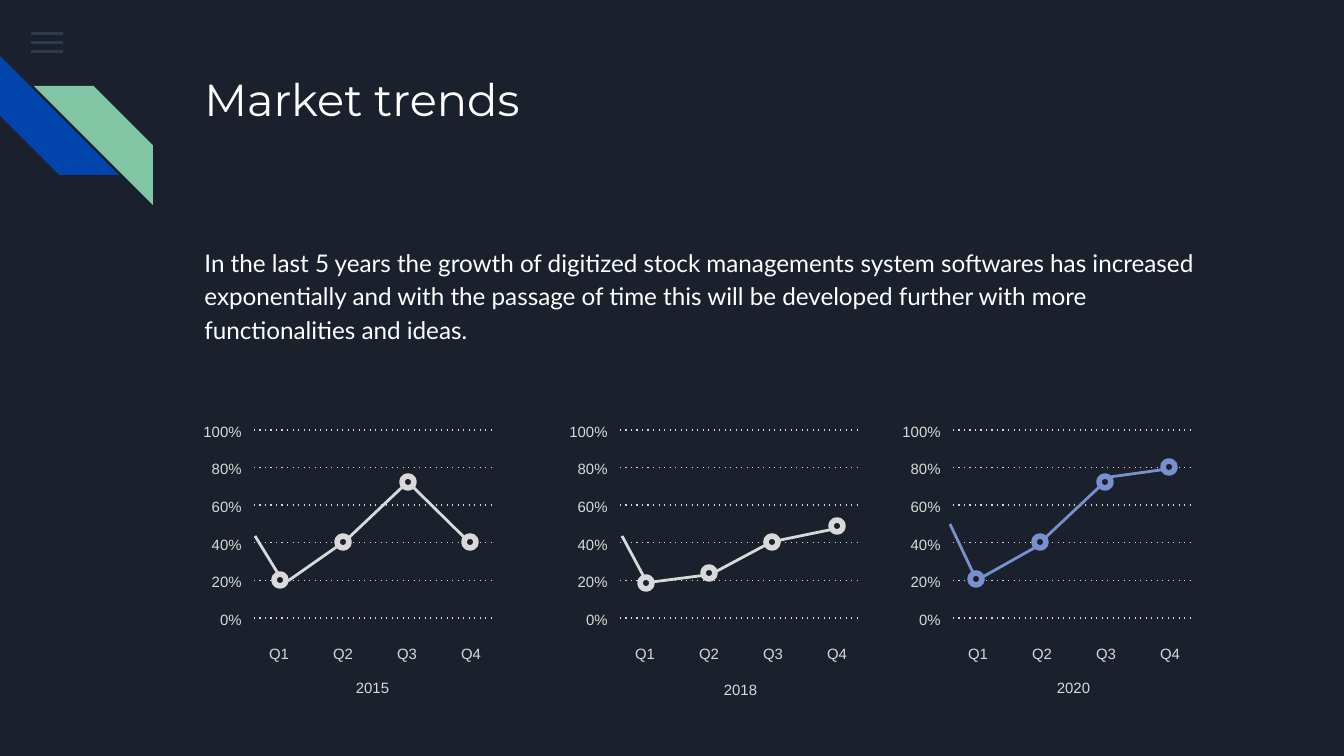
from dataclasses import dataclass

import pptx
import pptx.dml.color
import pptx.enum.shapes
import pptx.enum.text
import pptx.oxml.ns
import pptx.util
from lxml import etree

EMU_PER_PX = 914400 / 134.4

NAVY = pptx.dml.color.RGBColor(0x1B, 0x21, 0x2C)
SLATE = pptx.dml.color.RGBColor(0x55, 0x68, 0x8B)
BLUE = pptx.dml.color.RGBColor(0x01, 0x45, 0xAC)
GREEN = pptx.dml.color.RGBColor(0x82, 0xC7, 0xA5)
WHITE = pptx.dml.color.RGBColor(0xFF, 0xFF, 0xFF)
GREY = pptx.dml.color.RGBColor(0xD9, 0xD9, 0xD9)
PERIWINKLE = pptx.dml.color.RGBColor(0x78, 0x90, 0xCD)

SHAPE = pptx.enum.shapes.MSO_SHAPE
ALIGN = pptx.enum.text.PP_ALIGN
qn = pptx.oxml.ns.qn

GRID_TOP, GRID_STEP, GRID_WIDTH = 430, 37.6, 241
QUARTER_TOP, QUARTER_STEP, QUARTER_WIDTH = 631, 64, 50
LABEL_HEIGHT, MARKER_SIZE = 28, 12

LABEL_FONT = {"name": "Arial", "size": pptx.util.Pt(8)}
TITLE_FONT = {"name": "Montserrat", "size": pptx.util.Pt(24)}
BODY_FONT = {"name": "Lato", "size": pptx.util.Pt(13)}
SPACED = {"line_spacing": 1.15, "space_before": pptx.util.Pt(0),
          "space_after": pptx.util.Pt(16)}

Point = tuple[int, int]


@dataclass(frozen=True)
class TrendPanel:
    year: str
    grid_left: int
    label_width: int
    year_position: Point
    color: pptx.dml.color.RGBColor
    segments: list[tuple[int, int, int, int]]
    markers: list[Point]


PANELS = [
    TrendPanel("2015", 254, 66, (324, 663), GREY,
               [(255, 536, 285, 585), (348, 539, 288, 581),
                (339, 547, 413, 477), (413, 487, 474, 547)],
               [(280, 580), (343, 542), (408, 482), (470, 542)]),
    TrendPanel("2018", 620, 71, (692, 665), GREY,
               [(622, 536, 644, 577), (715, 574, 652, 582),
                (704, 578, 777, 539), (766, 543, 844, 527)],
               [(646, 583), (709, 573), (772, 542), (837, 526)]),
    TrendPanel("2020", 953, 66, (1025, 663), PERIWINKLE,
               [(950, 524, 976, 579), (1036, 547, 972, 583),
                (1044, 539, 1110, 477), (1110, 477, 1175, 468)],
               [(976, 579), (1040, 542), (1105, 482), (1169, 467)]),
]


def px(value: float) -> int:
    return round(value * EMU_PER_PX)


def apply_format(target, values: dict) -> None:
    for name, value in values.items():
        setattr(target, name, value)


def write_text(shape, text: str, font: dict, color, paragraph_format: dict) -> None:
    inset = pptx.util.Inches(0.1)
    apply_format(shape.text_frame, {
        "word_wrap": True,
        "auto_size": pptx.enum.text.MSO_AUTO_SIZE.NONE,
        "vertical_anchor": pptx.enum.text.MSO_ANCHOR.TOP,
        "margin_left": inset, "margin_right": inset,
        "margin_top": inset, "margin_bottom": inset})
    paragraph = shape.text_frame.paragraphs[0]
    apply_format(paragraph, paragraph_format)
    run = paragraph.add_run()
    run.text = text
    apply_format(run.font, font)
    run.font.color.rgb = color


def fill_placeholder(shape, box: tuple, text: str, font: dict, paragraph_format: dict) -> None:
    apply_format(shape, dict(zip(("left", "top", "width", "height"), map(px, box))))
    write_text(shape, text, font, WHITE, paragraph_format)


def add_label(shapes, text: str, box: tuple, paragraph_format: dict) -> None:
    write_text(shapes.add_textbox(*map(px, box)), text, LABEL_FONT, GREY, paragraph_format)


def add_filled(shapes, kind, box: tuple, color):
    shape = shapes.add_shape(kind, *map(px, box))
    shape.shadow.inherit = False
    shape.fill.solid()
    shape.fill.fore_color.rgb = color
    shape.line.fill.background()
    return shape


def add_line(shapes, ends: tuple, color, width: float, dotted: bool = False) -> None:
    connector = shapes.add_connector(
        pptx.enum.shapes.MSO_CONNECTOR.STRAIGHT, *map(px, ends))
    connector.line.color.rgb = color
    connector.line.width = pptx.util.Pt(width)
    properties = connector._element.spPr
    if dotted:
        etree.SubElement(properties.find(qn("a:ln")), qn("a:prstDash"), val="dot")
    etree.SubElement(properties, qn("a:effectLst"))


def add_panel(slide, panel: TrendPanel) -> None:
    shapes = slide.shapes.add_group_shape().shapes
    left = panel.grid_left
    for row in range(6):
        y = GRID_TOP + row * GRID_STEP
        add_line(shapes, (left, y, left + GRID_WIDTH, y), GREY, 0.75, dotted=True)
        add_label(shapes, f"{100 - 20 * row}%",
                  (left + 1 - panel.label_width, y - 21, panel.label_width, LABEL_HEIGHT),
                  {"alignment": ALIGN.RIGHT})
    for quarter in range(4):
        add_label(shapes, f"Q{quarter + 1}",
                  (left + quarter * QUARTER_STEP, QUARTER_TOP, QUARTER_WIDTH, LABEL_HEIGHT),
                  {"alignment": ALIGN.CENTER})
    add_label(shapes, panel.year, (*panel.year_position, 97, 47),
              {"alignment": ALIGN.CENTER, **SPACED})
    for segment in panel.segments:
        add_line(shapes, segment, panel.color, 1.5)
    for x, y in panel.markers:
        marker = add_filled(shapes, SHAPE.OVAL,
                            (x - MARKER_SIZE / 2, y - MARKER_SIZE / 2, MARKER_SIZE, MARKER_SIZE),
                            NAVY)
        marker.line.color.rgb = panel.color
        marker.line.width = pptx.util.Pt(3)


def add_decoration(slide) -> None:
    for index in range(3):
        bar = add_filled(slide.shapes, SHAPE.RECTANGLE, (31, 32 + 9 * index, 32, 3), SLATE)
        color = bar._element.spPr.find(".//" + qn("a:srgbClr"))
        etree.SubElement(color, qn("a:alpha"), val="36000")
    stripes = slide.shapes.add_group_shape().shapes
    blue_stripe = add_filled(stripes, SHAPE.DIAGONAL_STRIPE, (0, 56, 119, 119), BLUE)
    blue_stripe.rotation = 270
    green_stripe = add_filled(stripes, SHAPE.DIAGONAL_STRIPE, (34, 86, 119, 119), GREEN)
    green_stripe._element.spPr.find(qn("a:xfrm")).set("flipH", "1")


def main() -> None:
    presentation = pptx.Presentation()
    presentation.slide_width = px(1344)
    presentation.slide_height = px(756)
    slide = presentation.slides.add_slide(presentation.slide_layouts[1])
    slide.background.fill.solid()
    slide.background.fill.fore_color.rgb = NAVY

    add_decoration(slide)
    title, body = slide.placeholders
    fill_placeholder(title, (191, 58, 1035, 134), "Market trends", TITLE_FONT,
                     {"alignment": ALIGN.LEFT})
    bullet_free = body.text_frame.paragraphs[0]._p.get_or_add_pPr()
    bullet_free.set("marL", "0")
    bullet_free.set("indent", "0")
    etree.SubElement(bullet_free, qn("a:buNone"))
    fill_placeholder(
        body, (191, 230, 1035, 163),
        "In the last 5 years the growth of digitized stock managements system softwares "
        "has increased exponentially and with the passage of time this will be developed "
        "further with more functionalities and ideas.",
        BODY_FONT, {"alignment": ALIGN.LEFT, **SPACED})
    for panel in PANELS:
        add_panel(slide, panel)
    presentation.save("out.pptx")


if __name__ == "__main__":
    main()
